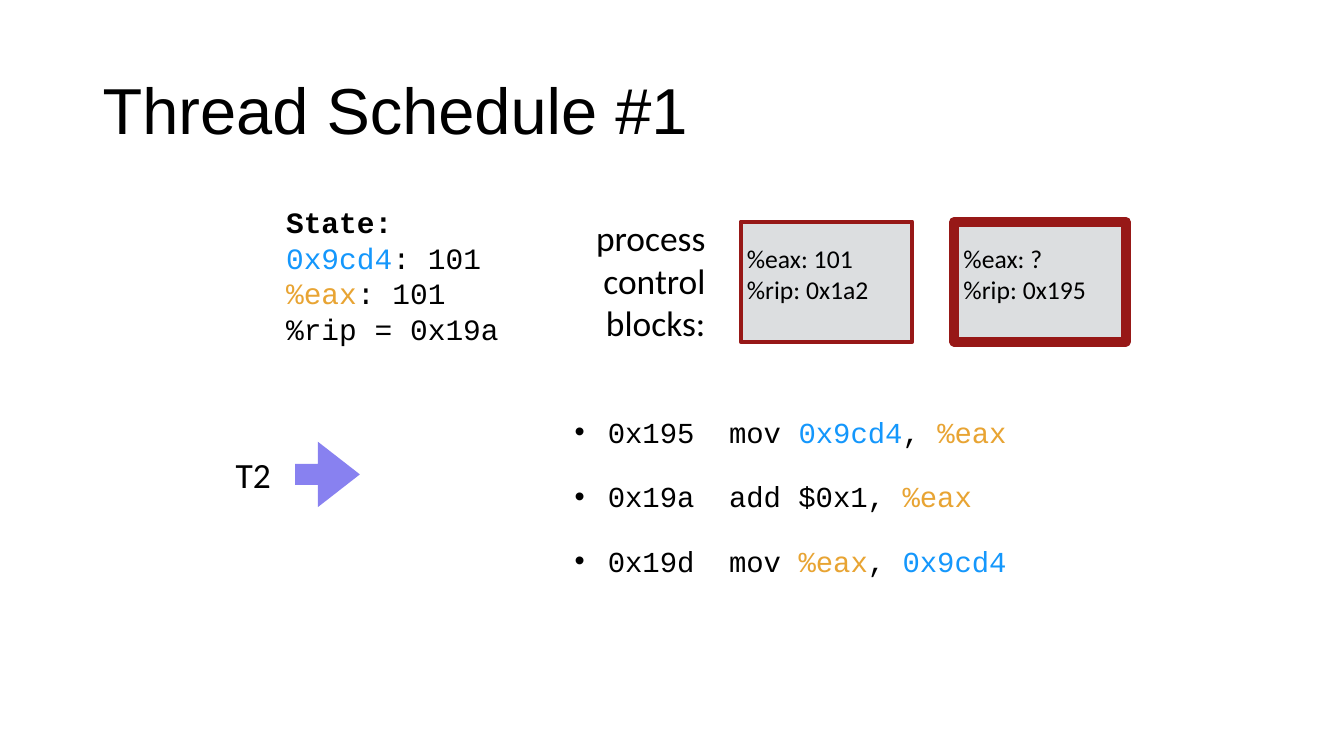
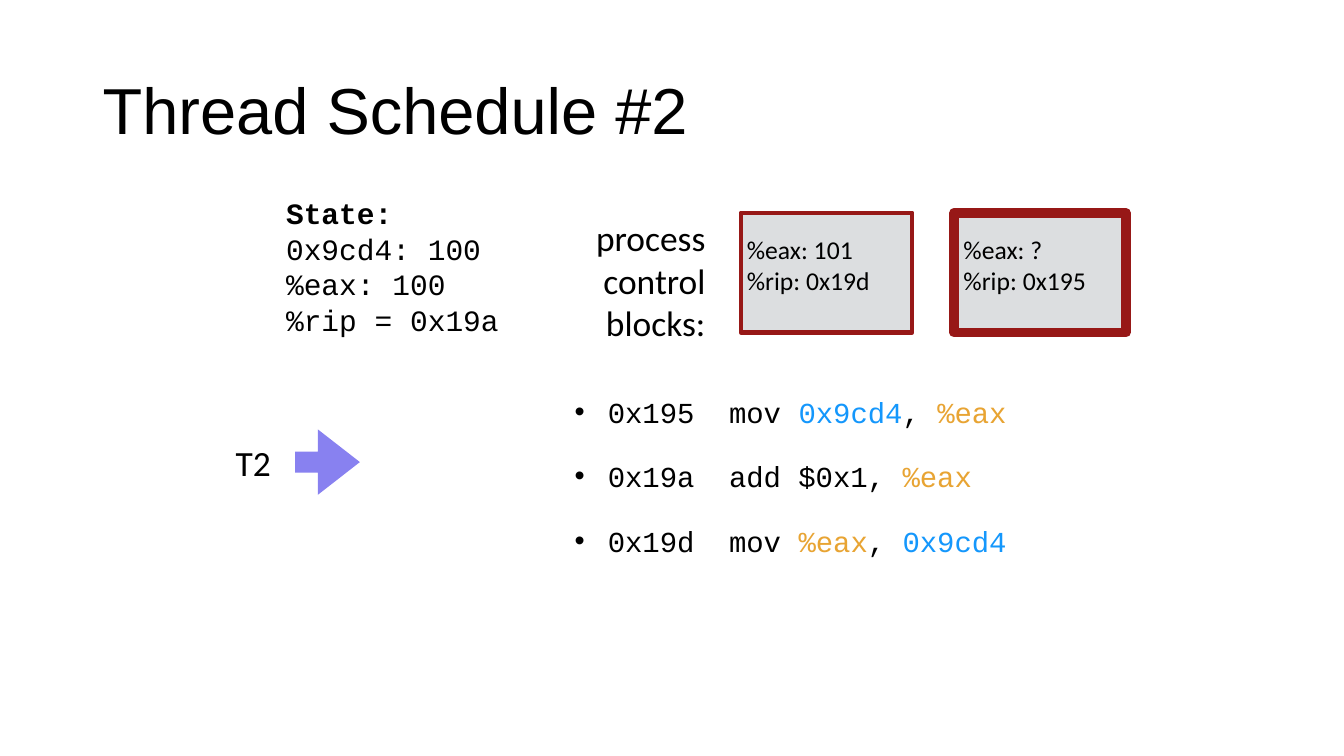
import pptx
import pptx.dml.color
import pptx.enum.shapes
import pptx.enum.text
import pptx.util
from lxml import etree

Cm, Pt = pptx.util.Cm, pptx.util.Pt
RGB = pptx.dml.color.RGBColor.from_string
ANCHOR, ALIGN = pptx.enum.text.MSO_ANCHOR, pptx.enum.text.PP_ALIGN
SHAPE = pptx.enum.shapes.MSO_SHAPE

THEME = {
    "colours": {
        "text": RGB("000000"), "address": RGB("1497FC"), "register": RGB("E8A433"),
        "block": RGB("DCDEE0"), "border": RGB("971817"), "arrow": RGB("8881F0"),
    },
    "fonts": {
        "title": {"name": "Arial", "size": Pt(46.4)},
        "state": {"name": "Courier New", "size": Pt(21.1)},
        "label": {"name": "Calibri", "size": Pt(25.3)},
        "block": {"name": "Calibri", "size": Pt(18.3)},
        "code": {"name": "Courier New", "size": Pt(20.7)},
    },
}
COLOURS = THEME["colours"]

ADDRESS = ("0x9cd4", "address")
REGISTER = ("%eax", "register")
CODE = [
    ["0x195  mov ", ADDRESS, ", ", REGISTER],
    ["0x19a  add $0x1, ", REGISTER],
    ["0x19d  mov ", REGISTER, ", ", ADDRESS],
]
SMALL_INSETS = (0.1, 0.1, 0.1, 0.1)
CODE_INSETS = (0.18, 0.1, 0.18, 0.1)

# Block left edge, border width in points, left inset of its text
BLOCKS = [(18.67, 3, 0.15), (24.05, 7, 0.23)]

SCHEDULES = [
    {
        "title": "Thread Schedule #1",
        "state": [[ADDRESS, ": 101"], [REGISTER, ": 101"], ["%rip = 0x19a"]],
        "blocks": [["%eax: 101", "%rip: 0x1a2"], ["%eax: ?", "%rip: 0x195"]],
        "block_top": 5.59, "arrow_top": 11.13, "code_top": 10.34,
    },
    {
        "title": "Thread Schedule #2",
        "state": [["0x9cd4: 100"], ["%eax: 100"], ["%rip = 0x19a"]],
        "blocks": [["%eax: 101", "%rip: 0x19d"], ["%eax: ?", "%rip: 0x195"]],
        "block_top": 5.36, "arrow_top": 10.82, "code_top": 9.83,
    },
]


def write(box, lines, style, insets=SMALL_INSETS, anchor=ANCHOR.MIDDLE, wrap=False, **layout):
    """Fill a box with lines, each a list of plain strings or (text, colour) pairs."""
    frame = box.text_frame
    sides = ("margin_left", "margin_top", "margin_right", "margin_bottom")
    frame_format = dict(zip(sides, map(Cm, insets)), vertical_anchor=anchor, word_wrap=wrap)
    for name, value in frame_format.items():
        setattr(frame, name, value)
    for number, line in enumerate(lines):
        para = frame.add_paragraph() if number else frame.paragraphs[0]
        for name, value in ({"alignment": ALIGN.LEFT} | layout).items():
            setattr(para, name, value)
        for piece in line:
            text, colour = (piece, "text") if isinstance(piece, str) else piece
            span = para.add_run()
            span.text = text
            span.font.color.rgb = COLOURS[colour]
            for name, value in THEME["fonts"][style].items():
                setattr(span.font, name, value)
    return frame.paragraphs


def add_shape(page, kind, place, fill, border=None):
    shape = page.shapes.add_shape(kind, *map(Cm, place))
    shape.shadow.inherit = False
    shape.fill.solid()
    shape.fill.fore_color.rgb = COLOURS[fill]
    if border:
        shape.line.color.rgb = COLOURS["border"]
        shape.line.width = Pt(border)
    else:
        shape.line.fill.background()
    return shape


deck = pptx.Presentation()
deck.slide_width, deck.slide_height = Cm(33.87), Cm(19.05)

for schedule in SCHEDULES:
    page = deck.slides.add_slide(deck.slide_layouts[6])
    block_top, arrow_top = schedule["block_top"], schedule["arrow_top"]

    title = page.shapes.add_textbox(Cm(2.34), Cm(1.02), Cm(29.21), Cm(3.68))
    write(title, [[schedule["title"]]], "title", (0.25, 0.13, 0.25, 0.13),
          wrap=True, line_spacing=0.9)

    for (left, border, inset), registers in zip(BLOCKS, schedule["blocks"]):
        block = add_shape(page, SHAPE.RECTANGLE, (left, block_top, 4.32, 3.02), "block", border)
        write(block, [[register] for register in registers], "block",
              (inset, 0.53, 0, 0), ANCHOR.TOP, wrap=True)

    state = page.shapes.add_textbox(Cm(7.11), Cm(block_top - 0.56), Cm(5.64), Cm(3.81))
    paras = write(state, [["State:"], *schedule["state"]], "state")
    paras[0].runs[0].font.bold = True

    blocks_label = page.shapes.add_textbox(Cm(14.88), Cm(5.33), Cm(3), Cm(3.45))
    write(blocks_label, [["process"], ["control"], ["blocks:"]], "label", alignment=ALIGN.RIGHT)

    thread_label = page.shapes.add_textbox(Cm(5.84), Cm(arrow_top + 0.19), Cm(1.09), Cm(1.27))
    write(thread_label, [["T2"]], "label")
    arrow = add_shape(page, SHAPE.RIGHT_ARROW, (7.44, arrow_top, 1.63, 1.65), "arrow")
    arrow.adjustments[0], arrow.adjustments[1] = 0.32, 0.65

    code = page.shapes.add_textbox(Cm(14.3), Cm(schedule["code_top"]), Cm(15.34), Cm(3.84))
    paras = write(code, CODE, "code", CODE_INSETS, ANCHOR.TOP, wrap=True, space_before=Pt(21.3))
    paras[0].space_before = Pt(0)
    for para in paras:
        properties = para._p.get_or_add_pPr()
        properties.set("marL", str(Cm(0.84)))
        properties.set("indent", str(-Cm(0.84)))
        for tag, name, value in (("buFont", "typeface", "Arial"), ("buChar", "char", "•")):
            etree.SubElement(properties, pptx.oxml.ns.qn("a:" + tag)).set(name, value)

deck.save("out.pptx")
